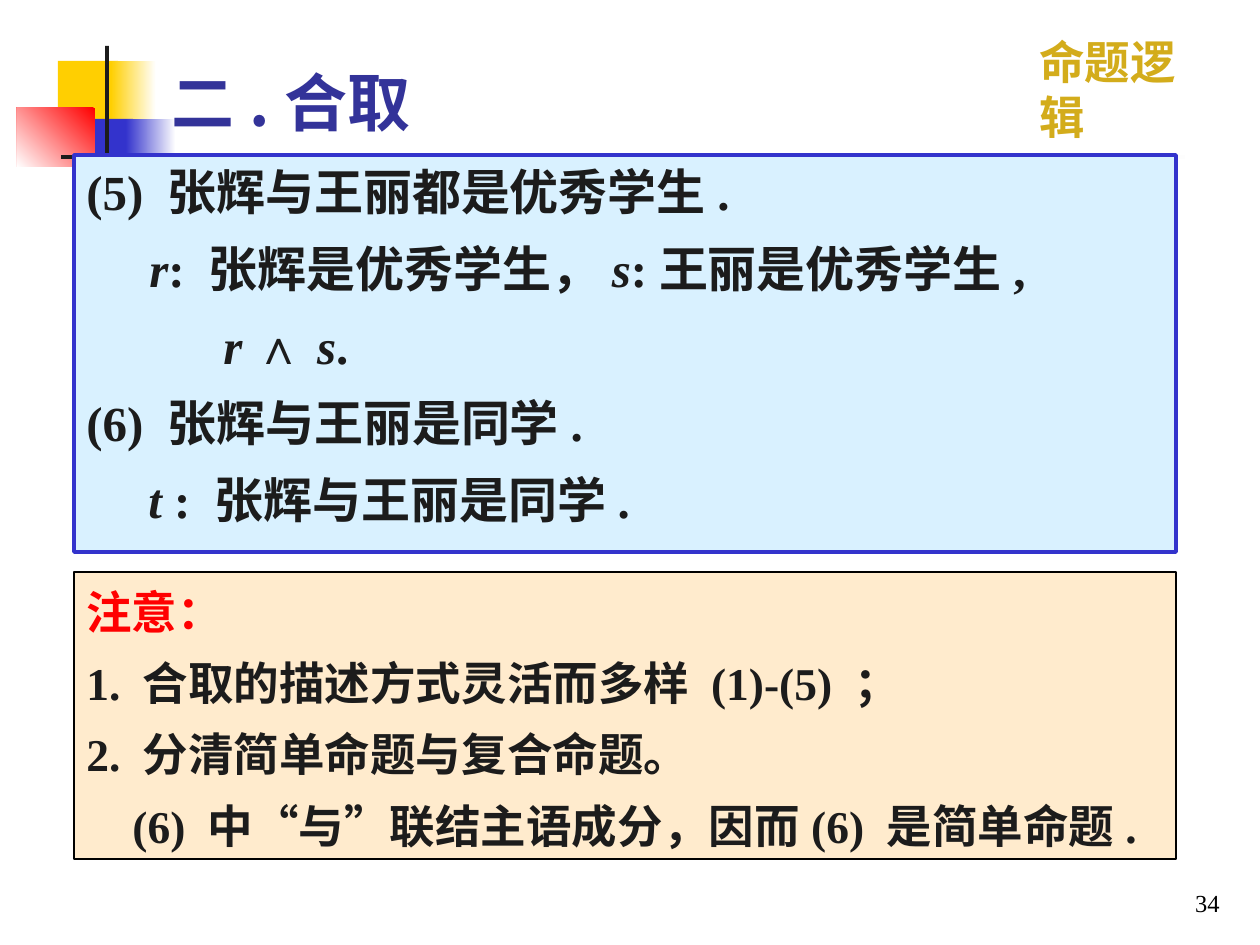
import pptx
import pptx.util
import pptx.dml.color
import pptx.enum.shapes
import pptx.enum.text
import pptx.oxml
from lxml import etree

RGB = pptx.dml.color.RGBColor
WHITE = RGB(0xFF, 0xFF, 0xFF)
BLACK = RGB(0x00, 0x00, 0x00)
INK = RGB(0x1C, 0x1C, 0x1C)
YELLOW = RGB(0xFF, 0xCF, 0x01)
BLUE = RGB(0x33, 0x33, 0xCC)
RED = RGB(0xFF, 0x00, 0x00)
GOLD = RGB(0xD3, 0xAC, 0x1B)
NAVY = RGB(0x33, 0x33, 0x99)
SKY = RGB(0xD9, 0xF1, 0xFF)
ALMOND = RGB(0xFF, 0xEB, 0xCD)

SERIF = "Times New Roman"
CJK = "Noto Sans CJK SC"
ALIGN = pptx.enum.text.PP_ALIGN
ANCHOR = pptx.enum.text.MSO_ANCHOR
A = "http://schemas.openxmlformats.org/drawingml/2006/main"
PX = 914400 / 126

deck = pptx.Presentation()
deck.slide_width = round(1260 * PX)
deck.slide_height = round(945 * PX)
page = deck.slides.add_slide(deck.slide_layouts[6])


def add_box(left, top, width, height, fill=None, line=None, weight=0):
    place = [round(v * PX) for v in (left, top, width, height)]
    if fill is None:
        box = page.shapes.add_textbox(*place)
    else:
        box = page.shapes.add_shape(pptx.enum.shapes.MSO_SHAPE.RECTANGLE, *place)
        box.shadow.inherit = False
        box.fill.solid()
        box.fill.fore_color.rgb = fill
        if line is None:
            box.line.fill.background()
        else:
            box.line.color.rgb = line
            box.line.width = pptx.util.Pt(weight)
    box.text_frame.word_wrap = True
    box.text_frame.vertical_anchor = ANCHOR.TOP
    return box


def add_span(para, text, size, color, font=SERIF, bold=True, italic=False):
    span = para.add_run()
    span.text = text
    span.font.size = pptx.util.Pt(size)
    span.font.color.rgb = color
    span.font.name = font
    span.font.bold = bold
    span.font.italic = italic
    return span


# Corner ornament: solid and fading blocks, then the crossing rules
for left, top, width, height, color, angle in [
    (58, 61, 60, 65, YELLOW, None),
    (111, 61, 45, 65, YELLOW, 0),
    (75, 119, 58, 65, BLUE, None),
    (126, 119, 50, 65, BLUE, 0),
    (17, 108, 78, 59, RED, 225),
    (105, 46, 4, 145, INK, None),
    (61, 155, 1134, 4, INK, 0),
]:
    block = add_box(left, top, width, height, color)
    if angle is not None:
        block.fill.gradient()
        block.fill.gradient_angle = angle
        for stop, shade in zip(block.fill.gradient_stops, (color, WHITE)):
            stop.color.rgb = shade

# Course name
course = add_box(1027, 28, 207, 68)
course.text_frame.word_wrap = False
add_span(course.text_frame.paragraphs[0], "命题逻辑", 26, GOLD, "Cabin")

# Title with a text shadow
title = add_box(159, 10, 1074, 135)
title.text_frame.vertical_anchor = ANCHOR.BOTTOM
span = add_span(title.text_frame.paragraphs[0], "二.合取", 36, NAVY, CJK)
effects = pptx.oxml.parse_xml(
    f'<a:effectLst xmlns:a="{A}"><a:outerShdw dist="17961" dir="2700000">'
    '<a:srgbClr val="000000"/></a:outerShdw></a:effectLst>')
span.font.fill  # the fill comes before the effects
span._r.rPr.find(f"{{{A}}}solidFill").addnext(effects)

# Examples: (left margin, first-line indent, spans of text, italic, font)
examples = [
    (63, -63, [("(5) 张辉与王丽都是优秀学生.", False, SERIF)]),
    (63, 0, [("r", True, SERIF), (": 张辉是优秀学生，", False, SERIF),
             ("s", True, SERIF), (":王丽是优秀学生,", False, SERIF)]),
    (137, 0, [("r ", True, SERIF), ("∧ ", False, "Arial"),
              ("s", True, SERIF), (".", False, SERIF)]),
    (63, -63, [("(6) 张辉与王丽是同学.", False, SERIF)]),
    (62, 0, [("t", True, SERIF), (" : 张辉与王丽是同学.", False, SERIF)]),
]
# Notes: the same form, with the heading in red
notes = [
    (0, 0, [("注意：", False, SERIF)]),
    (0, 0, [("1. 合取的描述方式灵活而多样 (1)-(5) ；", False, SERIF)]),
    (0, 0, [("2. 分清简单命题与复合命题。", False, SERIF)]),
    (46, 0, [("(6) 中“与”联结主语成分，因而(6) 是简单命题.", False, SERIF)]),
]
example_box = add_box(74, 155, 1102, 397, SKY, BLUE, 2.25)
note_box = add_box(74, 572, 1102, 287, ALMOND, BLACK, 0.75)

for box, lines, size, gap, spacing, align, head in [
    (example_box, examples, 28, 10.5, 1.0, ALIGN.JUSTIFY, INK),
    (note_box, notes, 26, 6.5, 1.1, ALIGN.LEFT, RED),
]:
    frame = box.text_frame
    for row, (margin, indent, spans) in enumerate(lines):
        para = frame.add_paragraph() if row else frame.paragraphs[0]
        para.alignment = align
        para.line_spacing = spacing
        if row:
            para.space_before = pptx.util.Pt(gap)
        para._p.get_or_add_pPr().set("marL", str(round(margin * PX)))
        para._p.get_or_add_pPr().set("indent", str(round(indent * PX)))
        for text, italic, font in spans:
            add_span(para, text, size, INK if row else head, font, italic=italic)

# Slide number
number = add_box(970, 861, 262, 63)
number.text_frame.vertical_anchor = ANCHOR.BOTTOM
para = number.text_frame.paragraphs[0]
para.alignment = ALIGN.RIGHT
add_span(para, "34", 14, BLACK, bold=False)

deck.save("out.pptx")
